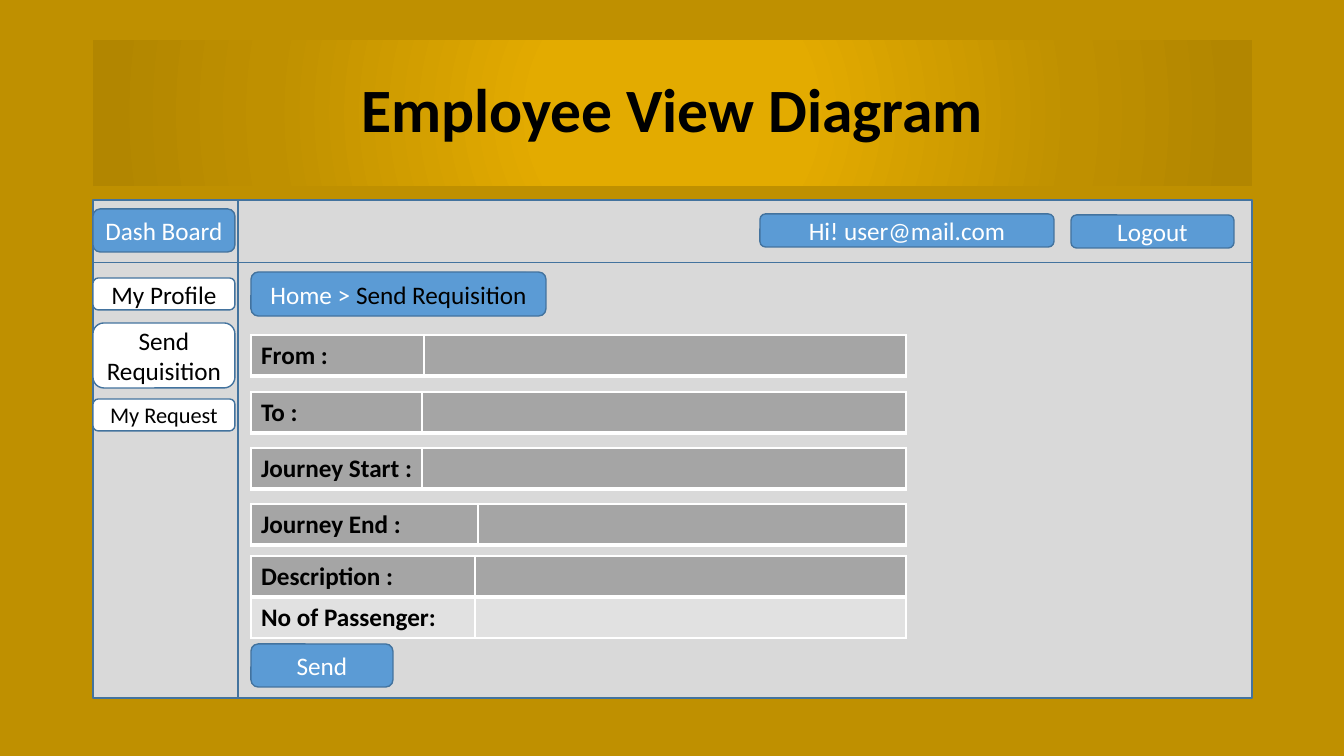
"""Build the employee requisition form slide."""
from lxml import etree
from pptx import Presentation
from pptx.dml.color import RGBColor
from pptx.enum.shapes import MSO_SHAPE
from pptx.enum.text import MSO_ANCHOR, PP_ALIGN
from pptx.oxml import parse_xml
from pptx.util import Emu, Pt

RECT = MSO_SHAPE.RECTANGLE
ROUND = MSO_SHAPE.ROUNDED_RECTANGLE
FRAME = MSO_SHAPE.FLOWCHART_INTERNAL_STORAGE
MIDDLE = MSO_ANCHOR.MIDDLE
CENTER, LEFT = PP_ALIGN.CENTER, PP_ALIGN.LEFT

GOLD = RGBColor(0xBF, 0x90, 0x00)
AMBER = RGBColor(0xE3, 0xAB, 0x00)
BRONZE = RGBColor(0xB2, 0x86, 0x00)
PANEL = RGBColor(0xD9, 0xD9, 0xD9)
BLUE = RGBColor(0x5B, 0x9B, 0xD5)
NAVY = RGBColor(0x43, 0x73, 0x9E)
GRAY = RGBColor(0xA5, 0xA5, 0xA5)
PALE = RGBColor(0xE1, 0xE1, 0xE1)
WHITE = RGBColor(0xFF, 0xFF, 0xFF)
BLACK = RGBColor(0, 0, 0)

NS = "http://schemas.openxmlformats.org/drawingml/2006/main"
GLOW = [(0, AMBER), (23, AMBER), (69, GOLD), (97, BRONZE)]


def px(n):
    return Emu(round(n * 914400 / 100.8))


def write(frame, lines, size=18, color=WHITE, bold=False, align=CENTER, space=1.0):
    for i, line in enumerate(lines):
        para = frame.add_paragraph() if i else frame.paragraphs[0]
        para.alignment, para.line_spacing = align, space
        for part in [(line, color)] if isinstance(line, str) else line:
            run = para.add_run()
            run.text, run.font.color.rgb = part
            run.font.name, run.font.size, run.font.bold = "Calibri", Pt(size), bold


class Page:
    def __init__(self, deck, back):
        self.slide = deck.slides.add_slide(deck.slide_layouts[6])
        self.slide.background.fill.solid()
        self.slide.background.fill.fore_color.rgb = back
        self.edge = NAVY

    def shape(self, kind, box, fill):
        item = self.slide.shapes.add_shape(kind, *map(px, box))
        item.shadow.inherit = False
        item.fill.solid()
        item.fill.fore_color.rgb = fill
        item.line.color.rgb = self.edge
        item.line.width = Pt(1)
        return item

    def button(self, box, lines, fill=BLUE, **style):
        frame = self.shape(ROUND, box, fill).text_frame
        frame.word_wrap, frame.vertical_anchor = True, MIDDLE
        write(frame, lines, **style)

    def title(self, box, text, stops):
        item = self.shape(RECT, box, GOLD)
        item.line.fill.background()
        marks = "".join(f'<a:gs pos="{at * 1000}"><a:srgbClr val="{color}"/></a:gs>'
                        for at, color in stops)
        grad = parse_xml(
            f'<a:gradFill xmlns:a="{NS}" rotWithShape="1"><a:gsLst>{marks}</a:gsLst>'
            '<a:path path="circle"><a:fillToRect l="50000" t="50000" r="50000" b="50000"/>'
            '</a:path></a:gradFill>')
        props = item.element.spPr
        props.replace(props.find(f"{{{NS}}}solidFill"), grad)
        item.text_frame.word_wrap = True
        item.text_frame.vertical_anchor = MIDDLE
        write(item.text_frame, [text], size=44, color=BLACK, bold=True, space=0.9)

    def border(self, cell, base):
        props = cell._tc.get_or_add_tcPr()
        for side, width in zip("LRTB", (1, 1, 1, base)):
            line = etree.SubElement(props, f"{{{NS}}}ln{side}", w=str(Pt(width)))
            fill = etree.SubElement(line, f"{{{NS}}}solidFill")
            etree.SubElement(fill, f"{{{NS}}}srgbClr", val=str(WHITE))

    def form(self, top, split, labels):
        left, width, high = 251, 655, 41
        grid = self.slide.shapes.add_table(
            len(labels), 2, *map(px, (left, top, width, high * len(labels)))).table
        grid.first_row = grid.horz_banding = False
        grid.columns[0].width, grid.columns[1].width = px(split), px(width - split)
        for i, label in enumerate(labels):
            grid.rows[i].height = px(high)
            for cell in grid.rows[i].cells:
                self.border(cell, 1 if i else 3)
                cell.margin_right = 0
                cell.fill.solid()
                cell.fill.fore_color.rgb = PALE if i else GRAY
            write(grid.cell(i, 0).text_frame, [label], color=BLACK, bold=True, align=LEFT)


def main():
    deck = Presentation()
    deck.slide_width, deck.slide_height = px(1344), px(756)
    page = Page(deck, GOLD)
    page.title((93, 40, 1159, 146), "Employee View Diagram", GLOW)
    page.shape(FRAME, (93, 200, 1159, 498), PANEL)

    page.button((1071, 215, 163, 33), ["Logout"])
    page.button((760, 214, 294, 33), ["Hi! user@mail.com"])
    page.button((93, 209, 142, 43), ["Dash Board"])
    for top, high, lines, size in [(278, 32, ["My Profile"], 18),
                                   (323, 65, ["Send", "Requisition"], 18),
                                   (399, 32, ["My Request"], 16)]:
        page.button((93, top, 142, high), lines, fill=WHITE, color=BLACK, size=size)
    page.button((251, 272, 295, 44), [[("Home > ", WHITE), ("Send Requisition", BLACK)]])
    page.button((251, 644, 142, 43), ["Send"])

    for top, split, labels in [(335, 173, ["From :"]),
                               (392, 171, ["To :"]),
                               (448, 171, ["Journey Start :"]),
                               (504, 227, ["Journey End :"]),
                               (556, 224, ["Description :", "No of Passenger:"])]:
        page.form(top, split, labels)
    deck.save("out.pptx")


main()
